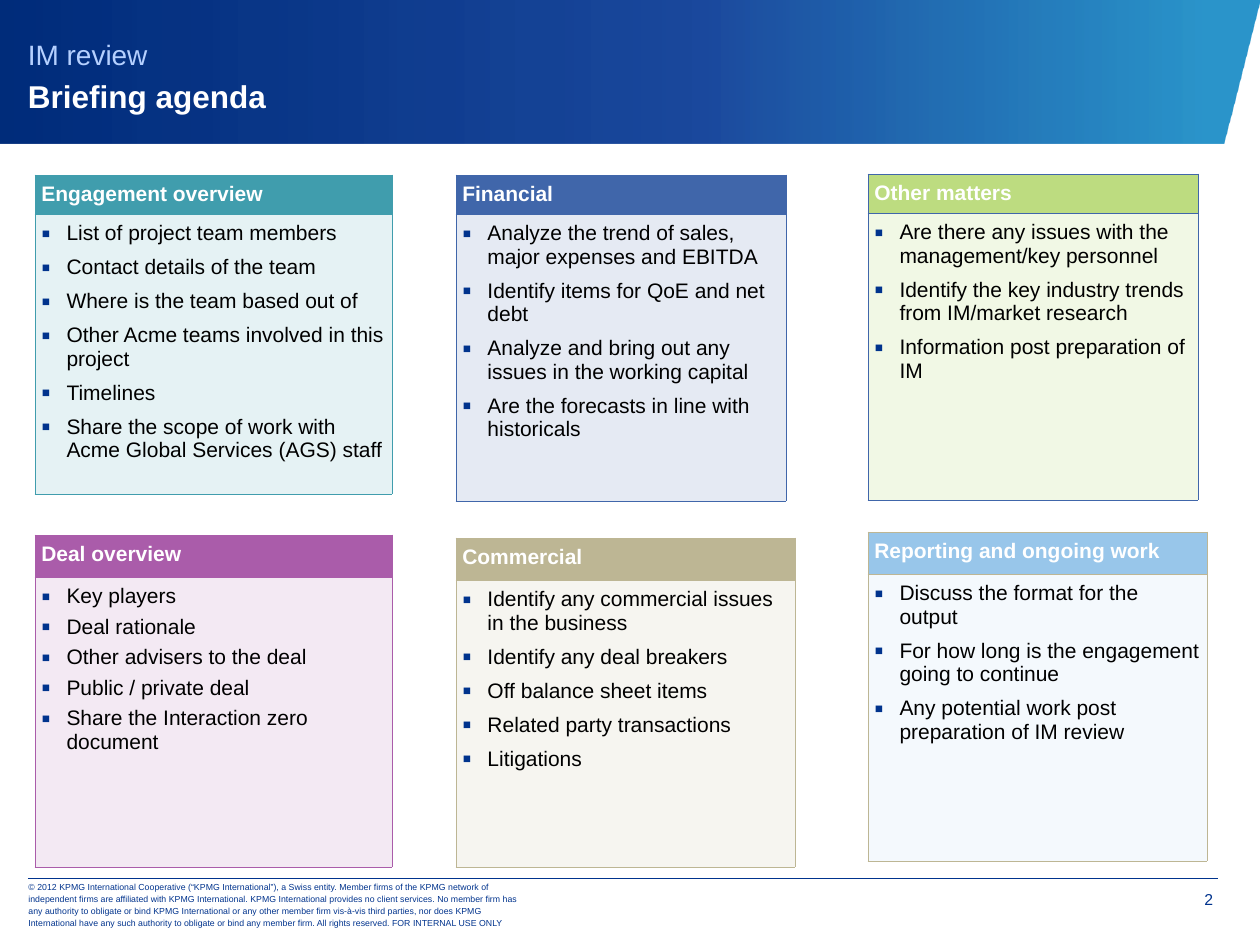
from lxml import etree
from pptx import Presentation
from pptx.dml.color import RGBColor
from pptx.enum.shapes import MSO_CONNECTOR
from pptx.enum.text import MSO_ANCHOR, MSO_AUTO_SIZE, PP_ALIGN
from pptx.oxml.ns import qn
from pptx.util import Inches, Pt

EMU_PER_PX = 914400 / 126
FONT = "Arial"
COLOURS = {
    "navy": "00338D", "sky": "B5D0FF", "white": "FFFFFF", "black": "000000",
    "teal": "409DAD", "teal_pale": "E5F2F4", "blue": "4066AA", "blue_pale": "E5EAF3",
    "green": "BDDC80", "green_pale": "F1F8E5", "purple": "AA5CAA", "purple_pale": "F3E9F3",
    "sand": "BDB694", "sand_pale": "F6F5F0", "ice": "98C6EA", "ice_pale": "F4F9FD",
    "band_light": "0080C0", "band_mid": "003492", "band_dark": "002C7A",
}

# Content
HEADING = [("IM review", 16, "sky", False), ("Briefing agenda", 18, "white", True)]
COPYRIGHT = (
    "© 2012 KPMG International Cooperative (“KPMG International”), a Swiss entity. "
    "Member firms of the KPMG network of independent firms are affiliated with KPMG "
    "International. KPMG International provides no client services. No member firm has any "
    "authority to obligate or bind KPMG International or any other member firm vis-à-vis third "
    "parties, nor does KPMG International have any such authority to obligate or bind any "
    "member firm. All rights reserved. FOR INTERNAL USE ONLY"
)
PAGE = "2"
# topic, (left, top, width, header height, body height), header fill, border, gap in pt, items
AGENDA = [
    ("Engagement overview", (35, 175, 357, 39, 280), "teal", "teal", 6, [
        "List of project team members",
        "Contact details of the team",
        "Where is the team based out of",
        "Other Acme teams involved in this project",
        "Timelines",
        "Share the scope of work with Acme Global Services (AGS) staff"]),
    ("Financial", (456, 175, 330, 39, 287), "blue", "blue", 6, [
        "Analyze the trend of sales, major expenses and EBITDA",
        "Identify items for QoE and net debt",
        "Analyze and bring out any issues in the working capital",
        "Are the forecasts in line with historicals"]),
    ("Deal overview", (35, 535, 357, 42, 290), "purple", "purple", 4, [
        "Key players",
        "Deal rationale",
        "Other advisers to the deal",
        "Public / private deal",
        "Share the Interaction zero document"]),
    ("Commercial", (456, 538, 339, 42, 287), "sand", "sand", 6, [
        "Identify any commercial issues in the business",
        "Identify any deal breakers",
        "Off balance sheet items",
        "Related party transactions",
        "Litigations"]),
    ("Other matters", (868, 174, 330, 39, 287), "green", "blue", 6, [
        "Are there any issues with the management/key personnel",
        "Identify the key industry trends from IM/market research",
        "Information post preparation of IM"]),
    ("Reporting and ongoing work", (868, 532, 339, 42, 287), "ice", "sand", 6, [
        "Discuss the format for the output",
        "For how long is the engagement going to continue",
        "Any potential work post preparation of IM review"]),
]


def px(*lengths):
    return [round(length * EMU_PER_PX) for length in lengths]


def rgb(name):
    return RGBColor.from_string(COLOURS[name])


def add(parent, tag, **attributes):
    return etree.SubElement(parent, qn(tag), attributes)


def style(run, size, colour, bold=False):
    run.font.name, run.font.size, run.font.bold = FONT, Pt(size), bold
    run.font.color.rgb = rgb(colour)


def add_bullet(paragraph):
    paragraph_properties = paragraph._p.get_or_add_pPr()
    paragraph_properties.set("marL", str(Inches(0.2)))
    paragraph_properties.set("indent", str(-Inches(0.2)))
    add(add(paragraph_properties, "a:buClr"), "a:srgbClr", val=COLOURS["navy"])
    add(paragraph_properties, "a:buSzPct", val="125000")
    add(paragraph_properties, "a:buFont", typeface=FONT)
    add(paragraph_properties, "a:buChar", char="▪")


def format_cell(cell, fill, border):
    cell.margin_left = cell.margin_right = Inches(0.05)
    cell.margin_top = cell.margin_bottom = Inches(0.06)
    cell_properties = cell._tc.get_or_add_tcPr()
    for side in ("a:lnL", "a:lnR", "a:lnT", "a:lnB"):
        edge = add(cell_properties, side, w=str(Pt(0.5)))
        add(add(edge, "a:solidFill"), "a:srgbClr", val=COLOURS[border])
    cell.fill.solid()
    cell.fill.fore_color.rgb = rgb(fill)


def add_topic(slide, topic, place, accent, border, gap, items):
    left, top, width, header_height, body_height = place
    frame = slide.shapes.add_table(2, 1, *px(left, top, width, header_height + body_height))
    table = frame.table
    table.horz_banding = False
    table.rows[0].height, table.rows[1].height = px(header_height, body_height)
    header, body = table.cell(0, 0), table.cell(1, 0)
    format_cell(header, accent, border)
    format_cell(body, accent + "_pale", border)
    header.text_frame.text = topic
    style(header.text_frame.paragraphs[0].runs[0], 12, "white", True)
    body.text_frame.text = "\n".join(items)
    for index, paragraph in enumerate(body.text_frame.paragraphs):
        add_bullet(paragraph)
        if index:
            paragraph.space_before = Pt(gap)
        style(paragraph.runs[0], 12, "black")


def add_band(slide):
    outline = slide.shapes.build_freeform(-1, 143, scale=EMU_PER_PX)
    outline.add_line_segments([(1223, 143), (1260, -1), (-1, 0)], close=True)
    band = outline.convert_to_shape()
    band.shadow.inherit = False
    band.line.fill.background()
    band.fill.gradient()
    band.fill.gradient_angle = 180
    stops = band._element.spPr.find(qn("a:gradFill")).find(qn("a:gsLst"))
    for stop in list(stops):
        stops.remove(stop)
    for position, colour, alpha in [(4, "band_light", 83), (44, "band_mid", 89),
                                    (100, "band_dark", 100)]:
        stop = add(stops, "a:gs", pos=str(position * 1000))
        shade = add(stop, "a:srgbClr", val=COLOURS[colour])
        add(shade, "a:alpha", val=str(alpha * 1000))


def add_heading(slide):
    title = slide.shapes.title
    title.left, title.top, title.width, title.height = px(28, 16, 1178, 110)
    slide.shapes._spTree.append(title._element)  # bring in front of the band
    frame = title.text_frame
    frame.text = "\v".join(line[0] for line in HEADING)
    frame.auto_size = MSO_AUTO_SIZE.NONE
    frame.vertical_anchor = MSO_ANCHOR.MIDDLE
    frame.margin_left = frame.margin_right = frame.margin_top = frame.margin_bottom = 0
    paragraph = frame.paragraphs[0]
    paragraph.alignment = PP_ALIGN.LEFT
    paragraph.line_spacing = Pt(25)
    for run, (_, size, colour, bold) in zip(paragraph.runs, HEADING):
        style(run, size, colour, bold)


def add_note(slide, text, place, size):
    note = slide.shapes.add_textbox(*px(*place)).text_frame
    note.word_wrap = True
    note.text = text
    style(note.paragraphs[0].runs[0], size, "navy")
    return note


def add_footer(slide):
    x1, y1, x2, y2 = px(28, 878, 1218, 878)
    rule = slide.shapes.add_connector(MSO_CONNECTOR.STRAIGHT, x1, y1, x2, y2)
    rule.line.color.rgb = rgb("navy")
    rule.line.width = Pt(0.25)
    add(rule._element.spPr, "a:effectLst")

    page = add_note(slide, PAGE, (1144, 880, 69, 39), 9)
    page.margin_left = page.margin_top = Inches(0.08)
    page.margin_right = page.margin_bottom = 0
    page.paragraphs[0].alignment = PP_ALIGN.RIGHT

    notice = add_note(slide, COPYRIGHT, (16, 882, 523, 44), 5)
    notice.vertical_anchor = MSO_ANCHOR.MIDDLE
    notice.paragraphs[0].line_spacing = Pt(7)


def main():
    deck = Presentation()
    deck.slide_width, deck.slide_height = Inches(10), Inches(7.5)
    slide = deck.slides.add_slide(deck.slide_layouts[5])
    add_band(slide)
    add_footer(slide)
    add_heading(slide)
    for entry in AGENDA:
        add_topic(slide, *entry)
    deck.save("out.pptx")


if __name__ == "__main__":
    main()
